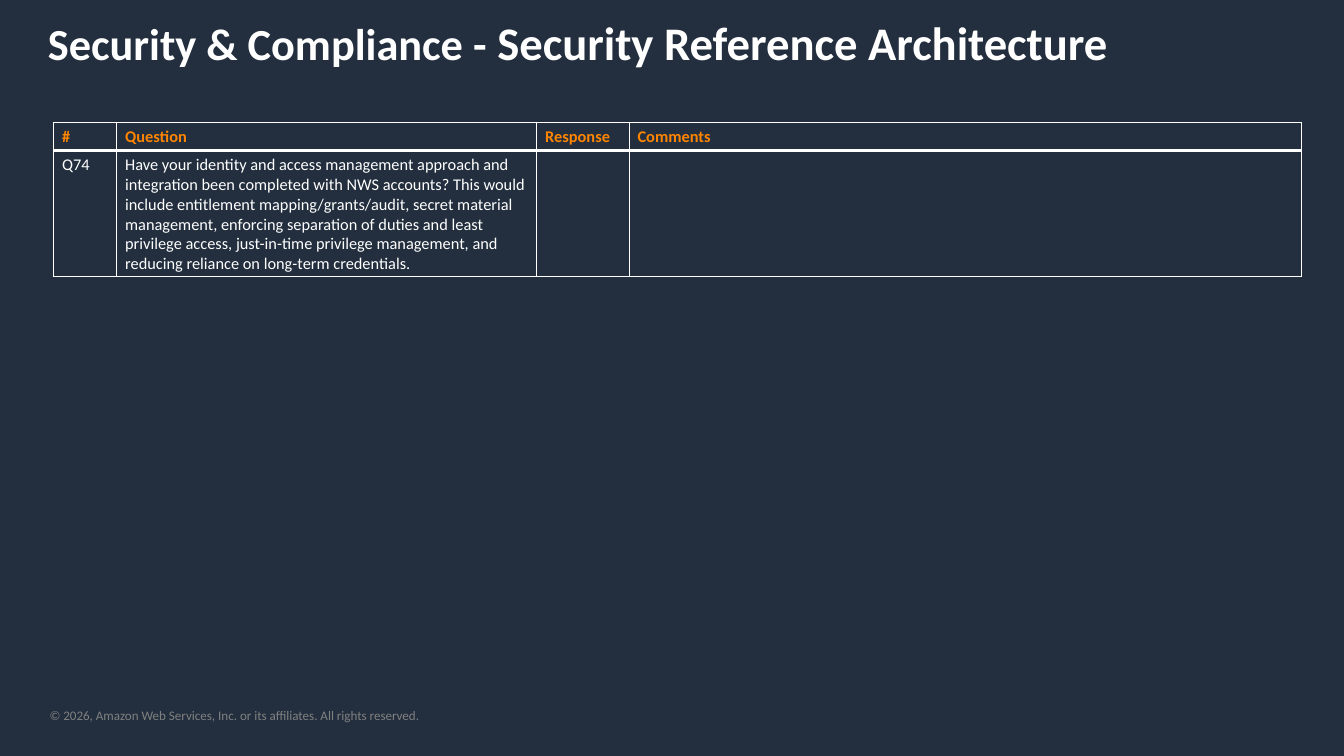
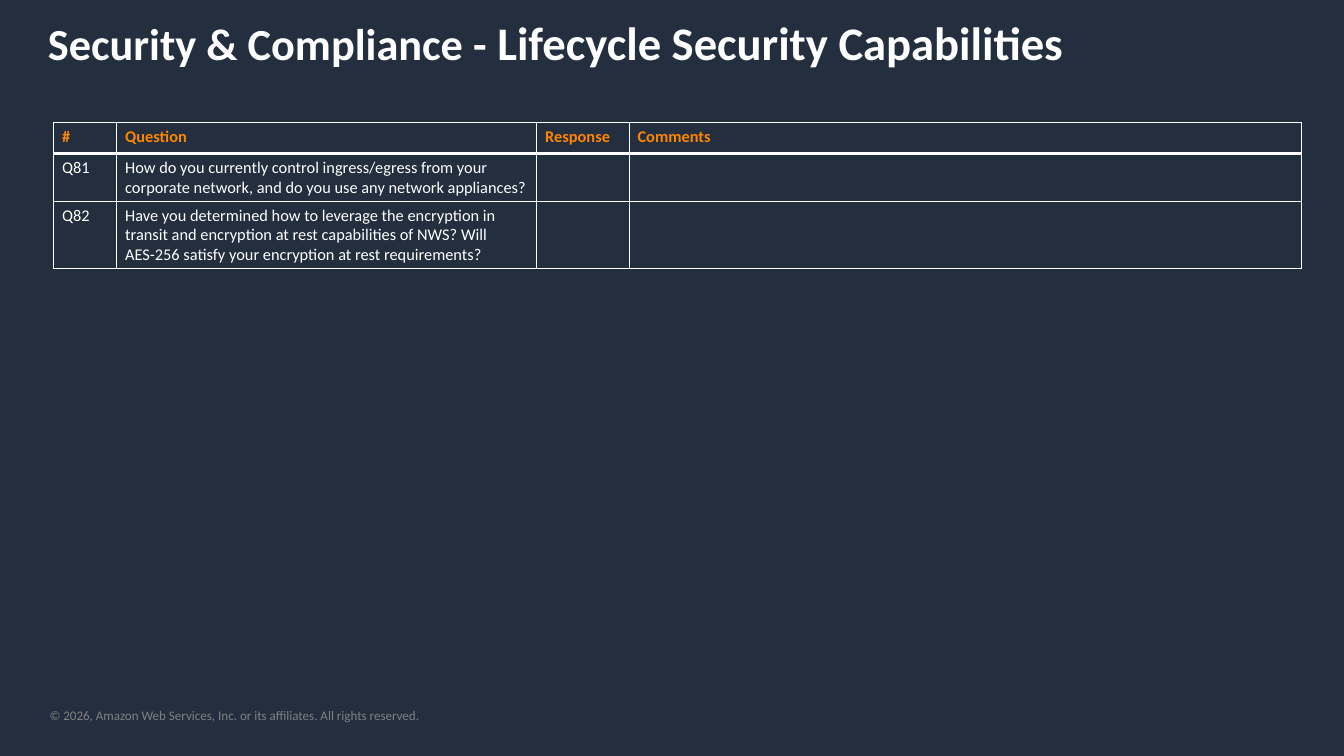
"""Build the security questionnaire slides."""
import dataclasses

import lxml.etree
import pptx
import pptx.dml.color
import pptx.enum.text
import pptx.oxml.ns
import pptx.util


@dataclasses.dataclass(frozen=True)
class Theme:
    """Colours, font and type sizes of the deck."""
    background: str = "232F3E"
    text: str = "FFFFFF"
    accent: str = "FF8500"
    muted: str = "808080"
    font: str = "Calibri"
    section_size: float = 38
    topic_size: float = 40
    table_size: float = 14
    footer_size: float = 11.2
    thin: float = 1
    thick: float = 3


SECTION = "Security & Compliance - "
COPYRIGHT = "© 2026, Amazon Web Services, Inc. or its affiliates. All rights reserved."
HEADINGS = ("#", "Question", "Response", "Comments")
COLUMN_SPANS = (0.75, 5, 1.1, 8)
PAGES = (
    ("Security Reference Architecture", 0.28, (
        ("Q74", "Have your identity and access management approach and integration been "
                "completed with NWS accounts? This would include entitlement "
                "mapping/grants/audit, secret material management, enforcing separation of "
                "duties and least privilege access, just-in-time privilege management, and "
                "reducing reliance on long-term credentials.", "", ""),
    )),
    ("Lifecycle Security Capabilities", 0.37, (
        ("Q81", "How do you currently control ingress/egress from your corporate network, "
                "and do you use any network appliances?", "", ""),
        ("Q82", "Have you determined how to leverage the encryption in transit and "
                "encryption at rest capabilities of NWS? Will AES-256 satisfy your "
                "encryption at rest requirements?", "", ""),
    )),
)


class Deck:
    """A presentation on a grid of 16 columns by 9 rows, with its current slide."""

    COLUMNS, ROWS = 16, 9

    def __init__(self, theme):
        """Set up the slide size and the shared background."""
        self.theme = theme
        self.presentation = pptx.Presentation()
        self.presentation.slide_width = pptx.util.Inches(16)
        self.presentation.slide_height = pptx.util.Inches(9)
        fill = self.presentation.slide_master.background.fill
        fill.solid()
        fill.fore_color.rgb = self.colour(theme.background)
        self.slide = None

    @staticmethod
    def colour(value):
        """Return a colour object for a hex value."""
        return pptx.dml.color.RGBColor.from_string(value)

    def across(self, columns):
        """Convert grid columns to a length."""
        return round(self.presentation.slide_width * columns / self.COLUMNS)

    def down(self, rows):
        """Convert grid rows to a length."""
        return round(self.presentation.slide_height * rows / self.ROWS)

    def area(self, left, top, width, height):
        """Convert a grid area to lengths."""
        return self.across(left), self.down(top), self.across(width), self.down(height)

    def style(self, paragraph, colour, size=None, bold=False):
        """Apply the deck's font to a paragraph."""
        paragraph.alignment = pptx.enum.text.PP_ALIGN.LEFT
        font = paragraph.font
        font.name, font.bold = self.theme.font, bold
        font.color.rgb = self.colour(colour)
        if size:
            font.size = pptx.util.Pt(size)

    def add_slide(self, topic):
        """Start a slide with its title and footer."""
        self.slide = self.presentation.slides.add_slide(self.presentation.slide_layouts[5])
        self.title(topic)
        self.footer()

    def title(self, topic):
        """Write the section and topic into the title placeholder."""
        title = self.slide.shapes.title
        title.left, title.top, title.width, title.height = self.area(0.47, 0.11, 15.26, 0.77)
        frame = title.text_frame
        frame.auto_size = pptx.enum.text.MSO_AUTO_SIZE.NONE
        frame.vertical_anchor = pptx.enum.text.MSO_ANCHOR.TOP
        paragraph = frame.paragraphs[0]
        for text, size in ((SECTION, self.theme.section_size), (topic, self.theme.topic_size)):
            run = paragraph.add_run()
            run.text = text
            run.font.size = pptx.util.Pt(size)
        self.style(paragraph, self.theme.text, bold=True)

    def footer(self):
        """Add the copyright line."""
        frame = self.slide.shapes.add_textbox(*self.area(0.59, 8.42, 7.78, 0.19)).text_frame
        frame.word_wrap = True
        frame.margin_left = frame.margin_top = frame.margin_right = frame.margin_bottom = 0
        frame.text = COPYRIGHT
        self.style(frame.paragraphs[0], self.theme.muted, self.theme.footer_size)

    def borders(self, cell, **widths):
        """Draw the cell borders, given a width in points for each side."""
        properties = cell._tc.get_or_add_tcPr()
        qn = pptx.oxml.ns.qn
        for side, width in widths.items():
            line = lxml.etree.SubElement(properties, qn(f"a:ln{side}"),
                                         w=str(pptx.util.Pt(width)))
            solid = lxml.etree.SubElement(line, qn("a:solidFill"))
            lxml.etree.SubElement(solid, qn("a:srgbClr"), val=self.theme.text)

    def questions(self, rows, row_height):
        """Add the table of questions under its headings."""
        theme = self.theme
        content = (HEADINGS, *rows)
        table = self.slide.shapes.add_table(
            len(content), len(HEADINGS),
            *self.area(0.64, 1.46, sum(COLUMN_SPANS), row_height * len(content))).table
        table.horz_banding = False
        for column, span in zip(table.columns, COLUMN_SPANS):
            column.width = self.across(span)
        for index, (row, texts) in enumerate(zip(table.rows, content)):
            row.height = self.down(row_height)
            heading = index == 0
            for cell, text in zip(row.cells, texts):
                self.borders(cell, L=theme.thin, R=theme.thin,
                             T=theme.thick if index == 1 else theme.thin,
                             B=theme.thick if heading else theme.thin)
                cell.fill.background()
                cell.text = text
                self.style(cell.text_frame.paragraphs[0],
                           theme.accent if heading else theme.text,
                           theme.table_size, bold=heading)


def main():
    """Build every page and save the deck."""
    deck = Deck(Theme())
    for topic, row_height, rows in PAGES:
        deck.add_slide(topic)
        deck.questions(rows, row_height)
    deck.presentation.save("out.pptx")


if __name__ == "__main__":
    main()
